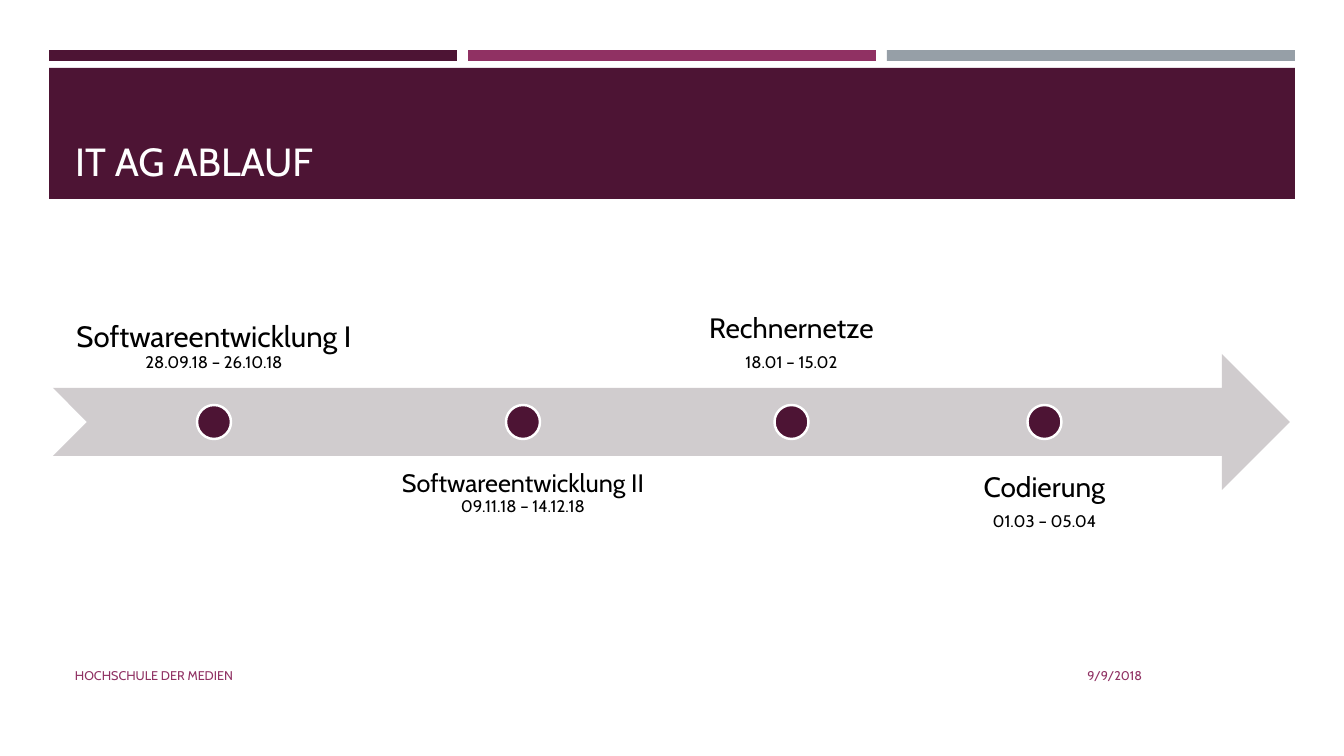
from pptx import Presentation
from pptx.dml.color import RGBColor
from pptx.enum.shapes import MSO_SHAPE
from pptx.enum.text import MSO_ANCHOR, MSO_AUTO_SIZE, PP_ALIGN
from pptx.util import Pt

PX = 12192000 / 1344
PLUM, ROSE, SLATE = "4D1434", "903163", "969FA7"
WHITE, BLACK, GREY = "FFFFFF", "000000", "D0CCCE"

deck = Presentation()
deck.slide_width, deck.slide_height = round(1344 * PX), round(756 * PX)
slide = deck.slides.add_slide(deck.slide_layouts[5])
shapes = slide.shapes


def draw(kind, box, fill, line=None):
    shape = shapes.add_shape(kind, *[round(v * PX) for v in box])
    shape.shadow.inherit = False
    shape.fill.solid()
    shape.fill.fore_color.rgb = RGBColor.from_string(fill)
    if line:
        shape.line.color.rgb = RGBColor.from_string(line)
        shape.line.width = Pt(1.75)
    else:
        shape.line.fill.background()


def write(shape, box, lines, sizes, color, align, anchor, inset=None):
    """Place a text shape; sizes go to the runs in order."""
    shape.left, shape.top, shape.width, shape.height = [round(v * PX) for v in box]
    frame = shape.text_frame
    frame.text = lines
    frame.word_wrap = True
    frame.auto_size = MSO_AUTO_SIZE.NONE
    frame.vertical_anchor = anchor
    if inset:
        pad = round(inset * PX)
        frame.margin_left = frame.margin_right = pad
        frame.margin_top = frame.margin_bottom = pad
    for para in frame.paragraphs:
        para.alignment = align
        para.line_spacing = 0.9
        para.space_after = Pt(7)
    runs = [run for para in frame.paragraphs for run in para.runs]
    for run, size in zip(runs, sizes):
        run.font.name = "Cabin"
        run.font.size = Pt(size)
        run.font.color.rgb = RGBColor.from_string(color)


# Header
for i, color in enumerate([PLUM, ROSE, SLATE]):
    draw(MSO_SHAPE.RECTANGLE, (49 + 419 * i, 50, 408, 11), color)
draw(MSO_SHAPE.RECTANGLE, (49, 68, 1246, 131), PLUM)
title = shapes.title
shapes._spTree.append(title._element)  # in front of the band
write(title, (65, 78, 1215, 112), "IT AG ABLAUF", [28], WHITE,
      PP_ALIGN.LEFT, MSO_ANCHOR.BOTTOM)

# Footer
for text, left, width, align in [
    ("HOCHSCHULE DER MEDIEN", 65, 762, PP_ALIGN.LEFT),
    ("9/9/2018", 839, 313, PP_ALIGN.RIGHT),
]:
    write(shapes.add_textbox(0, 0, 0, 0), (left, 656, width, 40), text, [9],
          ROSE, align, MSO_ANCHOR.MIDDLE)

# Timeline: labels alternate above and below the arrow
HIGH, GAP, DOT, MID = 136, 12, 34, 422
draw(MSO_SHAPE.NOTCHED_RIGHT_ARROW, (53, MID - HIGH // 2, 1237, HIGH), GREY)
steps = [
    ("Softwareentwicklung I\v28.09.18 – 26.10.18", 21, 322, 16),
    ("Softwareentwicklung II\v09.11.18 – 14.12.18", 18, 272, 14),
    ("Rechnernetze\n18.01 – 15.02", 20, 241, 16),
    ("Codierung\n01.03 – 05.04", 20, 241, 16),
]
left = 53
for i, (text, size, width, inset) in enumerate(steps):
    top, anchor = (457, MSO_ANCHOR.TOP) if i % 2 else (252, MSO_ANCHOR.BOTTOM)
    write(shapes.add_textbox(0, 0, 0, 0), (left, top, width, HIGH), text,
          [size, 12], BLACK, PP_ALIGN.CENTER, anchor, inset)
    draw(MSO_SHAPE.OVAL, (left + (width - DOT) / 2, MID - DOT / 2, DOT, DOT),
         PLUM, WHITE)
    left += width + GAP

deck.save("out.pptx")
